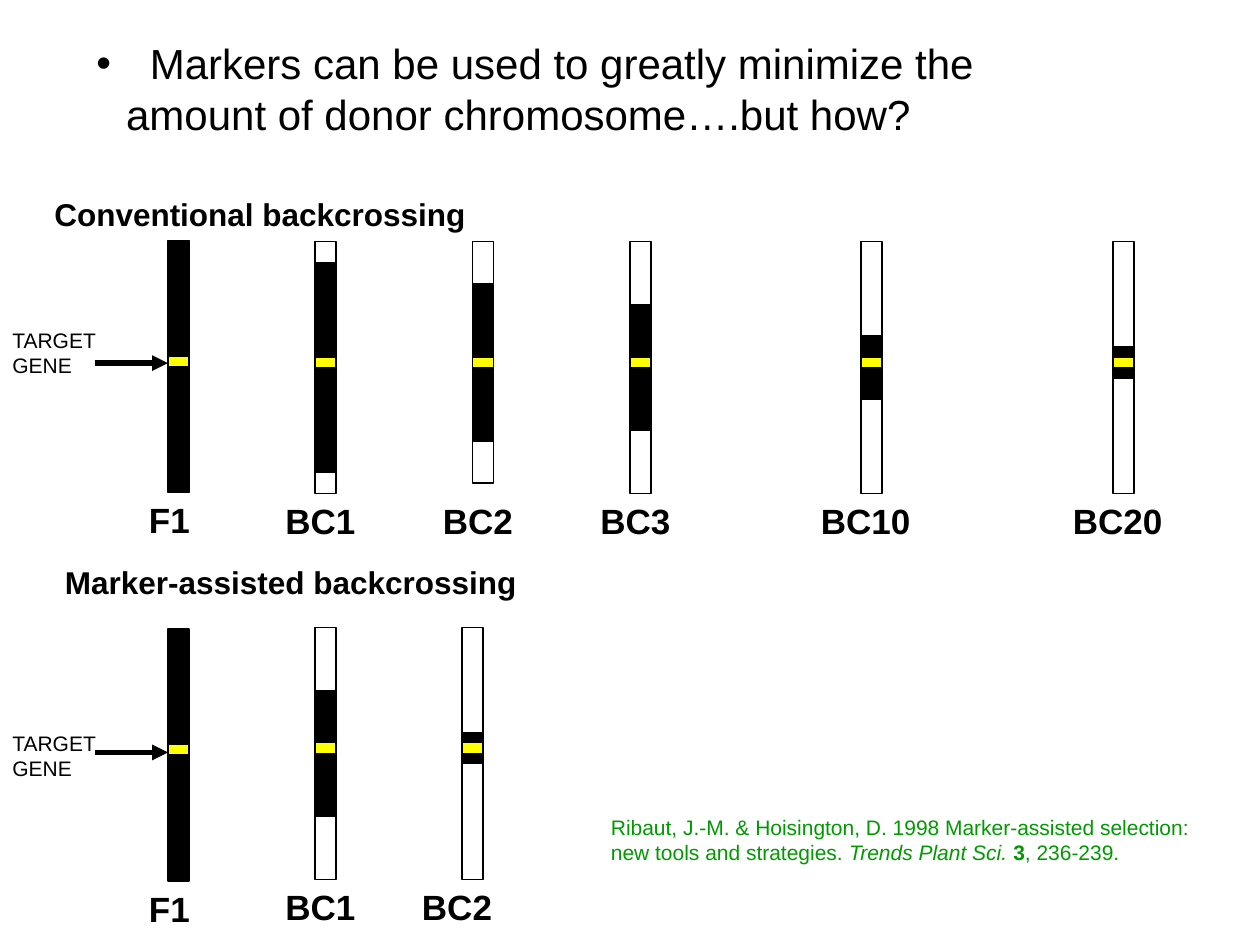
from lxml.etree import SubElement
from pptx import Presentation
from pptx.dml.color import RGBColor
from pptx.enum.shapes import MSO_CONNECTOR, MSO_SHAPE
from pptx.oxml.ns import qn
from pptx.util import Pt

BLACK = RGBColor(0, 0, 0)
WHITE = RGBColor(255, 255, 255)
YELLOW = RGBColor(255, 255, 0)
GREEN = RGBColor(0, 0x99, 0)

BAR_W, BAR_H = 12, 144
GENE_OFFSET, GENE_H = 66, 6
LABEL_OFFSET = 144

# Generation: name, bar left, label left, bar height, donor offset, donor height
CONVENTIONAL = [
    ("BC1", 180, 156, BAR_H, 12, 120),
    ("BC2", 270, 246, 138, 24, 90),
    ("BC3", 360, 336, BAR_H, 36, 72),
    ("BC10", 492, 462, BAR_H, 54, 36),
    ("BC20", 636, 606, BAR_H, 60, 18),
]
MARKER_ASSISTED = [
    ("BC1", 180, 156, BAR_H, 36, 72),
    ("BC2", 264, 234, BAR_H, 60, 18),
]


def add_text(s, x, y, w, h, text, size, bold=False):
    tf = s.shapes.add_textbox(Pt(x), Pt(y), Pt(w), Pt(h)).text_frame
    tf.word_wrap = True
    tf.text = text
    p = tf.paragraphs[0]
    for r in p.runs:
        style_run(r, size, BLACK, bold)
    return p


def style_run(r, size, color, bold=False, italic=False):
    r.font.name = "Arial"
    r.font.size = Pt(size)
    r.font.color.rgb = color
    r.font.bold = bold
    r.font.italic = italic


def add_segment(s, x, y, h, color):
    sp = s.shapes.add_shape(MSO_SHAPE.RECTANGLE, Pt(x), Pt(y), Pt(BAR_W), Pt(h))
    sp.shadow.inherit = False
    sp.fill.solid()
    sp.fill.fore_color.rgb = color
    sp.line.color.rgb = BLACK
    sp.line.width = Pt(0.75)


def add_chromosome(s, top, name, x, label_x, height, donor_offset, donor_h):
    if donor_h < height:
        add_segment(s, x, top, height, WHITE)
    add_segment(s, x, top + donor_offset, donor_h, BLACK)
    add_segment(s, x, top + GENE_OFFSET, GENE_H, YELLOW)
    add_text(s, label_x, top + LABEL_OFFSET, 90, 31.5, name, 20, bold=True)


def add_arrow(s, x1, x2, y):
    line = s.shapes.add_connector(MSO_CONNECTOR.STRAIGHT, Pt(x1), Pt(y), Pt(x2), Pt(y))
    line.line.color.rgb = BLACK
    line.line.width = Pt(3)
    SubElement(line.line._get_or_add_ln(), qn("a:tailEnd"), type="triangle")
    SubElement(line._element.spPr, qn("a:effectLst"))


def add_title(s):
    p = add_text(s, 48, 18, 600, 64.8,
                 "\tMarkers can be used to greatly minimize the "
                 "amount of donor chromosome….but how?", 24)
    pPr = p._p.get_or_add_pPr()
    pPr.set("marL", str(Pt(17)))
    pPr.set("indent", str(-Pt(17)))
    SubElement(pPr, qn("a:buFont"), typeface="Arial")
    SubElement(pPr, qn("a:buChar"), char="•")
    tabs = SubElement(pPr, qn("a:tabLst"))
    SubElement(tabs, qn("a:tab"), pos=str(Pt(30.5)), algn="l")


def add_citation(s):
    p = add_text(s, 342, 462, 348, 36, "", 12)
    parts = [
        ("Ribaut, J.-M. & Hoisington, D. 1998 Marker-assisted selection: "
         "new tools and strategies. ", False, False),
        ("Trends Plant Sci. ", False, True),
        ("3", True, False),
        (", 236-239.", False, False),
    ]
    for text, bold, italic in parts:
        r = p.add_run()
        r.text = text
        style_run(r, 12, GREEN, bold, italic)


def add_scheme(s, top, f1_top, generations, arrow_y, target_y):
    # The F1 bar is donor chromosome along its whole length
    add_chromosome(s, f1_top, "F1", 96, 78, BAR_H, 0, BAR_H)
    for generation in generations:
        add_chromosome(s, top, *generation)
    # Pointer to the target gene
    add_arrow(s, 54, 96, arrow_y)
    add_text(s, 0, target_y, 72, 36, "TARGET GENE", 12)


def main():
    prs = Presentation()
    prs.slide_width, prs.slide_height = Pt(720), Pt(540)
    s = prs.slides.add_slide(prs.slide_layouts[6])

    add_title(s)

    # Conventional scheme
    add_text(s, 24, 108, 438, 29, "Conventional backcrossing", 18, bold=True)
    add_scheme(s, 138, 137.5, CONVENTIONAL, 207.5, 183.5)

    # Marker-assisted scheme
    add_text(s, 30, 318, 306, 29, "Marker-assisted backcrossing", 18, bold=True)
    add_scheme(s, 358.5, 359.5, MARKER_ASSISTED, 430, 414)

    add_citation(s)
    prs.save("out.pptx")


if __name__ == "__main__":
    main()
